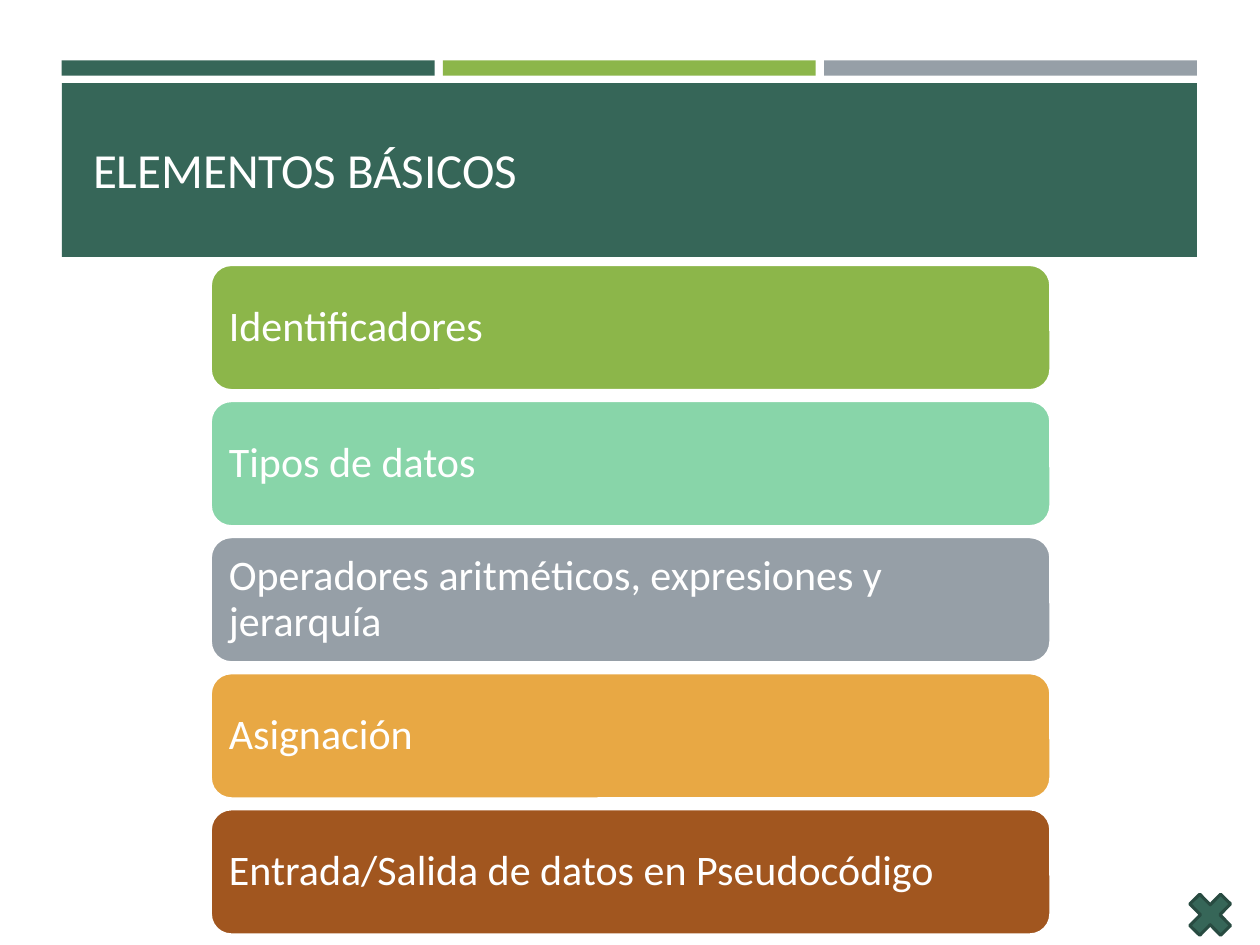
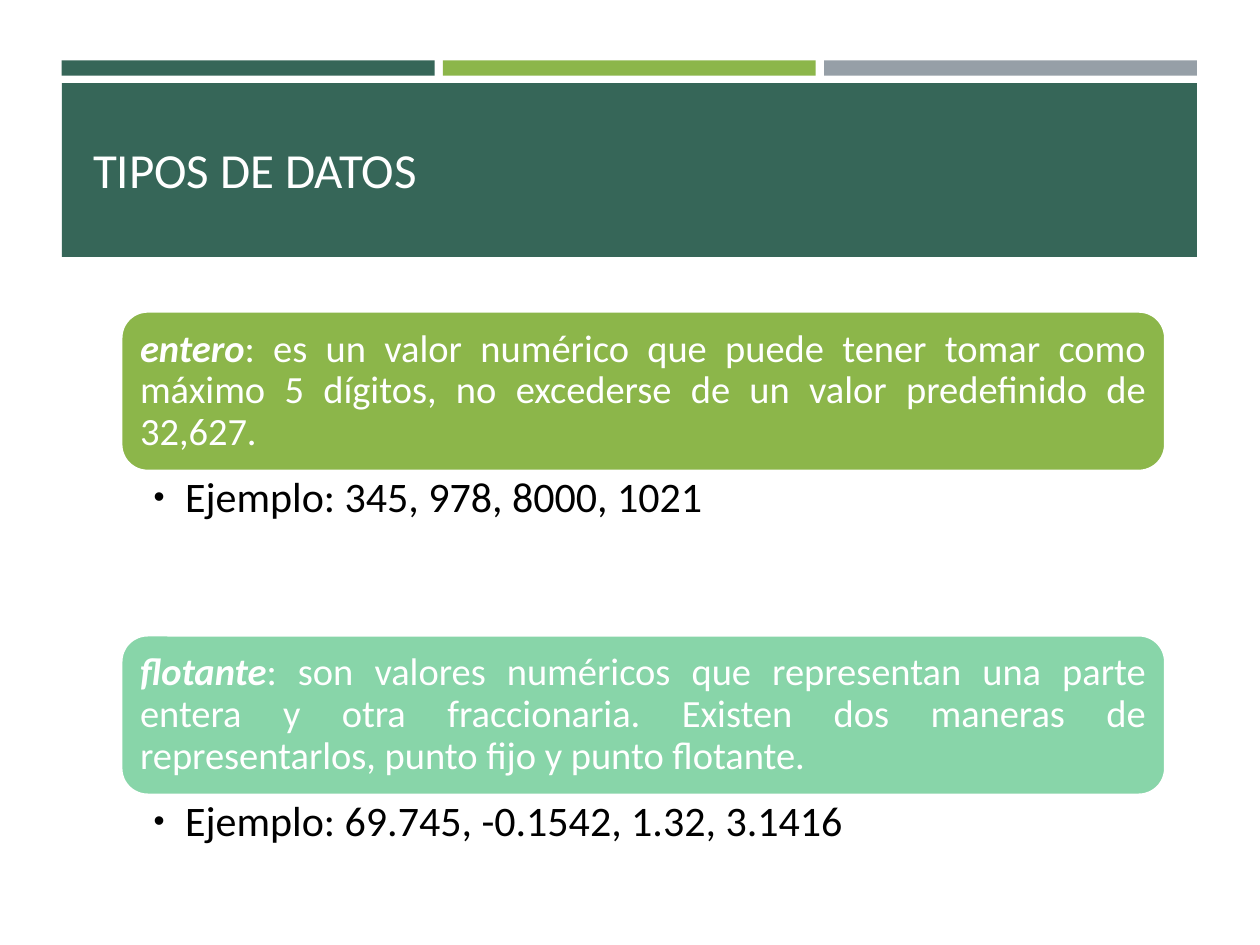
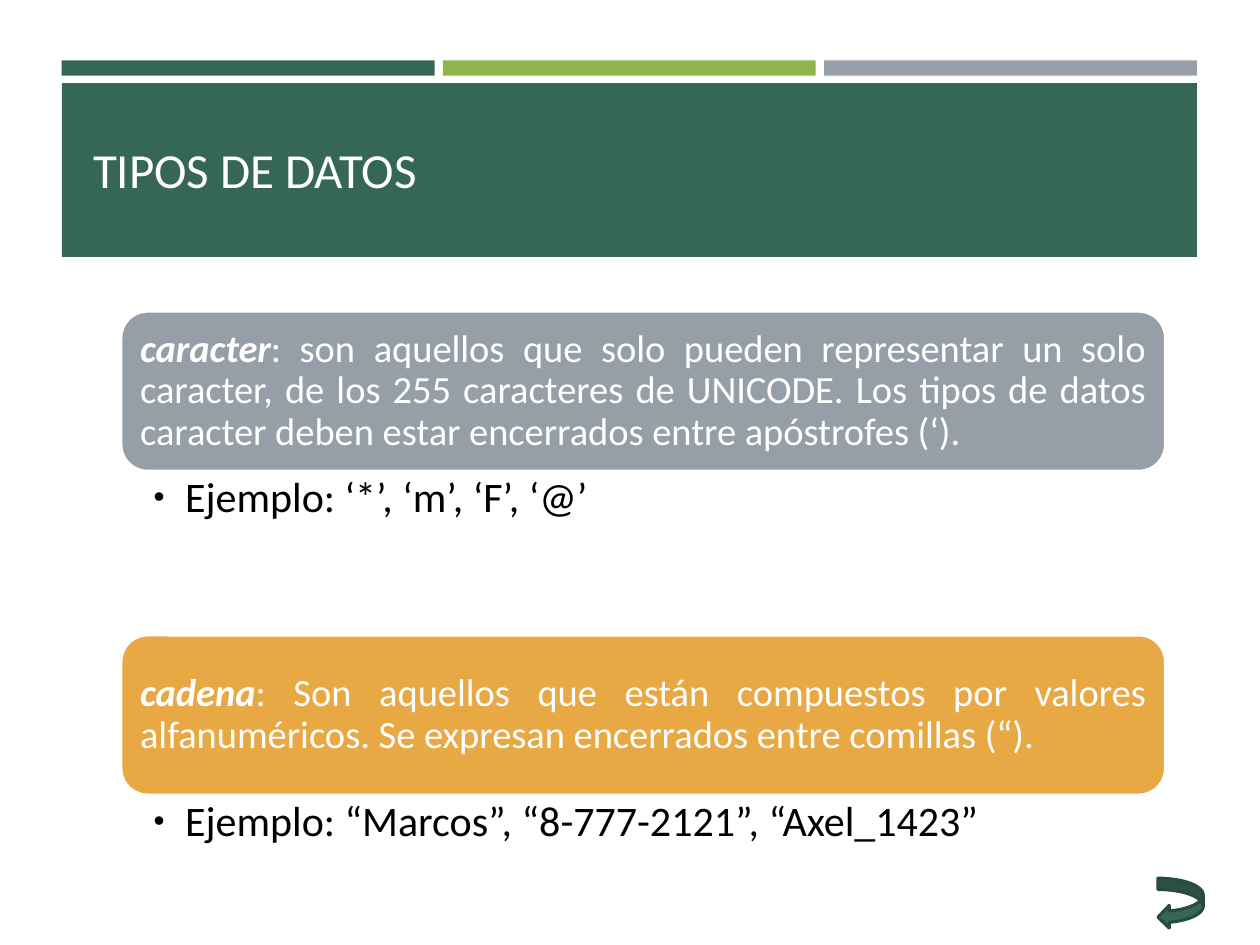
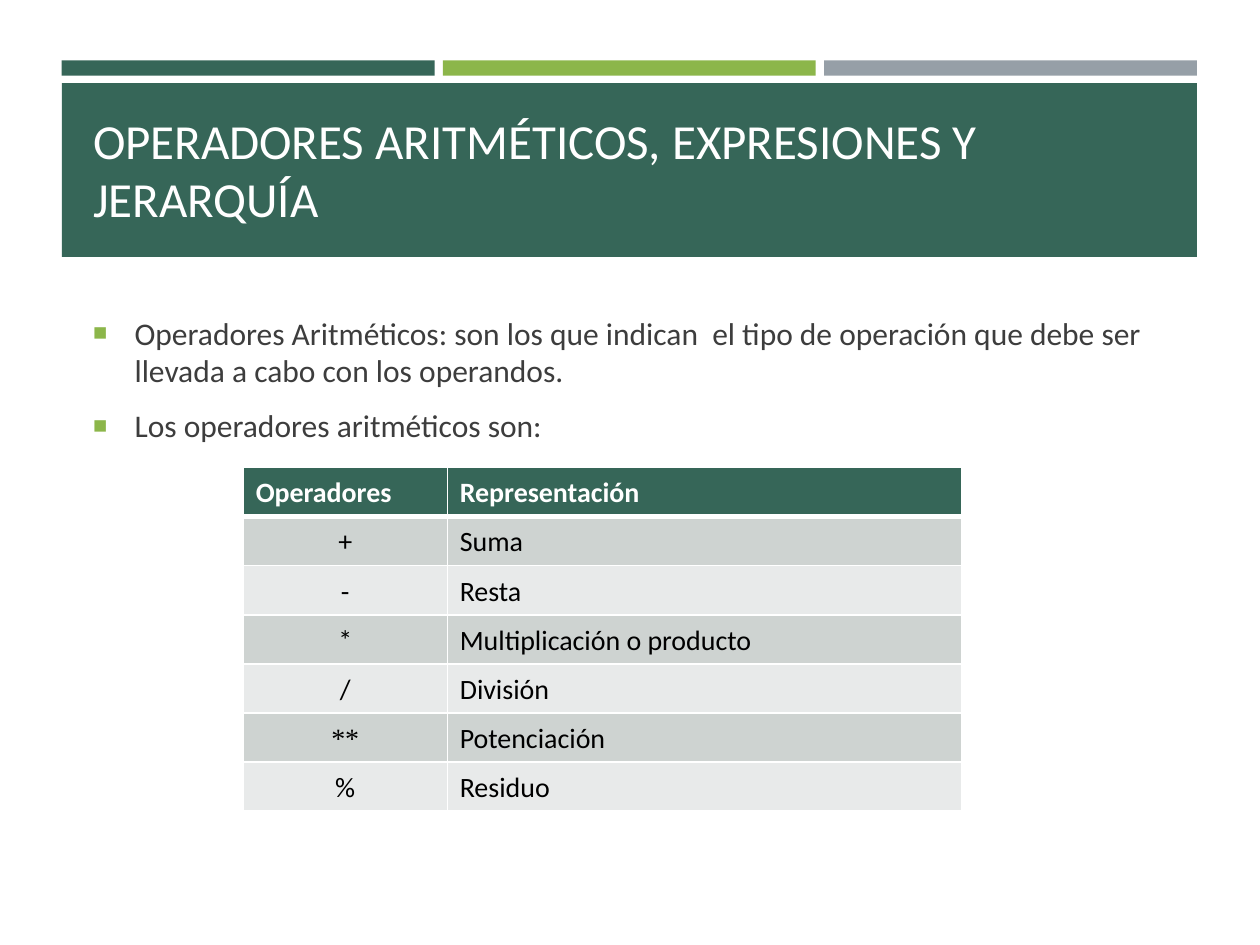
from dataclasses import dataclass
from typing import Any

from lxml import etree
from pptx import Presentation
from pptx import util as u
from pptx.dml.color import RGBColor
from pptx.enum import shapes, text
from pptx.oxml import ns

HUES: dict[str, str] = {
    "pine": "366658", "leaf": "8CB64A", "mint": "88D5A9", "gray": "969FA7",
    "gold": "E8A844", "rust": "A1561F", "edge": "284B41", "white": "FFFFFF",
    "black": "000000", "ink": "3D3D3D", "dark": "CED3D1", "pale": "E8EAEA",
}
FONT = "Calibri"
KIND = shapes.MSO_SHAPE
ALIGN = text.PP_ALIGN
MID = text.MSO_ANCHOR.MIDDLE
TOP = text.MSO_ANCHOR.TOP


@dataclass
class Box:
    x: float
    y: float
    w: float
    h: float

    def emu(self) -> list[int]:
        return [u.Inches(v) for v in (self.x, self.y, self.w, self.h)]


@dataclass
class Style:
    size: float
    hue: str = "white"
    bold: bool = False
    align: Any = ALIGN.LEFT
    lines: float = 1.0
    face: str = FONT


@dataclass
class Bullet:
    mark: str
    indent: float
    hue: str


@dataclass
class Term:
    name: str
    note: str
    case: str
    hue: str


def color(key: str) -> RGBColor:
    return RGBColor.from_string(HUES[key])


def assign(item: Any, vals: dict[str, Any]) -> None:
    for key, val in vals.items():
        setattr(item, key, val)


def child(node: Any, tag: str, **attrs: Any) -> Any:
    vals = {k: str(v) for k, v in attrs.items()}
    return etree.SubElement(node, ns.qn(tag), vals)


# Text helpers
def setup(frame: Any, pads: tuple, anchor: Any) -> None:
    sides = ("margin_left", "margin_top", "margin_right", "margin_bottom")
    assign(frame, {"word_wrap": True, "vertical_anchor": anchor})
    assign(frame, {k: u.Inches(v) for k, v in zip(sides, pads)})


def write(para: Any, words: str, style: Style, lead: str = "") -> None:
    assign(para, {"alignment": style.align, "line_spacing": style.lines})
    for part, strong in ((lead, True), (words, False)):
        if part:
            run = para.add_run()
            run.text = part
            assign(run.font, {"name": style.face, "size": u.Pt(style.size),
                              "bold": strong or style.bold, "italic": strong})
            run.font.color.rgb = color(style.hue)


def mark(para: Any, dot: Bullet) -> None:
    props = para._p.get_or_add_pPr()
    gap = u.Inches(dot.indent)
    props.set("marL", str(gap))
    props.set("indent", str(-gap))
    child(child(props, "a:buClr"), "a:srgbClr", val=HUES[dot.hue])
    child(props, "a:buSzPct", val=75000)
    child(props, "a:buFont", typeface="Arial")
    child(props, "a:buChar", char=dot.mark)


def label(slide: Any, box: Box, pads: tuple, anchor: Any = TOP) -> Any:
    frame = slide.shapes.add_textbox(*box.emu()).text_frame
    setup(frame, pads, anchor)
    return frame


# Shape helpers
def shape(slide: Any, kind: Any, box: Box, fill: str, line: str = "") -> Any:
    form = slide.shapes.add_shape(kind, *box.emu())
    form.shadow.inherit = False
    form.fill.solid()
    form.fill.fore_color.rgb = color(fill)
    if line:
        form.line.color.rgb = color(line)
        form.line.width = u.Pt(1.75)
    else:
        form.line.fill.background()
    return form


def card(slide: Any, box: Box, fill: str, pad: float, words: str,
         style: Style, lead: str = "") -> None:
    frame = shape(slide, KIND.ROUNDED_RECTANGLE, box, fill, "white").text_frame
    setup(frame, (pad,) * 4, MID)
    write(frame.paragraphs[0], words, style, lead)


# Shared page: three strips, title band, title
PADS = (0.1, 0.05, 0.1, 0.05)


def page(deck: Any, title: str) -> Any:
    slide = deck.slides.add_slide(deck.slide_layouts[6])
    for i, hue in enumerate(("pine", "leaf", "gray")):
        shape(slide, KIND.RECTANGLE, Box(0.49 + i * 3.025, 0.48, 2.96, 0.12), hue)
    shape(slide, KIND.RECTANGLE, Box(0.49, 0.66, 9.01, 1.38), "pine")
    frame = label(slide, Box(0.64, 0.75, 8.74, 1.18), PADS, MID)
    write(frame.paragraphs[0], title, Style(28))
    return slide


# Definition cards, each with an example below
def terms(slide: Any, items: list[Term]) -> None:
    for i, item in enumerate(items):
        top = 2.47 + i * 2.57
        card(slide, Box(0.96, top, 8.29, 1.27), item.hue, 0.09, item.note,
             Style(22, align=ALIGN.JUSTIFY, lines=0.9), item.name)
        frame = label(slide, Box(0.96, top + 1.27, 8.29, 0.56),
                      (0.26, 0.04, 0.24, 0.04))
        para = frame.paragraphs[0]
        write(para, "Ejemplo: " + item.case, Style(24, "black", lines=0.9))
        mark(para, Bullet("•", 0.25, "black"))


# Table cell with white borders
def fill_cell(cell: Any, words: str, fill: str, style: Style, head: bool) -> None:
    props = cell._tc.get_or_add_tcPr()
    for side in "LRTB":
        thick = 3 if head and side == "B" else 1
        edge = child(props, "a:ln" + side, w=u.Pt(thick))
        child(child(edge, "a:solidFill"), "a:srgbClr", val=HUES["white"])
    cell.fill.solid()
    cell.fill.fore_color.rgb = color(fill)
    cell.vertical_anchor = MID
    write(cell.text_frame.paragraphs[0], words, style)


def grid(slide: Any, box: Box, cols: list[float], rows: list[tuple]) -> None:
    table = slide.shapes.add_table(len(rows), len(cols), *box.emu()).table
    for col, wide in zip(table.columns, cols):
        col.width = u.Inches(wide)
    for r, row in enumerate(rows):
        table.rows[r].height = u.Inches(box.h / len(rows))
        head = r == 0
        fill = "pine" if head else ("pale", "dark")[r % 2]
        for c, words in enumerate(row):
            style = Style(16, "white" if head else "black", head, lines=1.07)
            if c == 0 and not head:
                style.align = ALIGN.CENTER
            if words == "**":
                style.face = "Times New Roman"
            fill_cell(table.cell(r, c), words, fill, style, head)


deck = Presentation()
assign(deck, {"slide_width": u.Inches(10), "slide_height": u.Inches(7.5)})

# Slide 1: list of topics
slide = page(deck, "ELEMENTOS BÁSICOS")
topics = [
    ("Identificadores", "leaf"),
    ("Tipos de datos", "mint"),
    ("Operadores aritméticos, expresiones y jerarquía", "gray"),
    ("Asignación", "gold"),
    ("Entrada/Salida de datos en Pseudocódigo", "rust"),
]
for i, (words, hue) in enumerate(topics):
    card(slide, Box(1.67, 2.1 + i * 1.08, 6.67, 1), hue, 0.1, words,
         Style(24, lines=0.9))
shape(slide, KIND.MATH_MULTIPLY, Box(9.37, 7.02, 0.47, 0.48), "pine", "edge")

# Slide 2: number types
slide = page(deck, "TIPOS DE DATOS")
terms(slide, [
    Term("entero", ": es un valor numérico que puede tener tomar como máximo "
         "5 dígitos, no excederse de un valor predefinido de 32,627.",
         "345, 978, 8000, 1021", "leaf"),
    Term("flotante", ": son valores numéricos que representan una parte entera "
         "y otra fraccionaria. Existen dos maneras de representarlos, "
         "punto fijo y punto flotante.",
         "69.745, -0.1542, 1.32, 3.1416", "mint"),
])

# Slide 3: text types
slide = page(deck, "TIPOS DE DATOS")
terms(slide, [
    Term("caracter", ": son aquellos que solo pueden representar un solo "
         "caracter, de los 255 caracteres de UNICODE. Los tipos de datos "
         "caracter deben estar encerrados entre apóstrofes (‘).",
         "‘*’, ‘m’, ‘F’, ‘@’", "gray"),
    Term("cadena", ": Son aquellos que están compuestos por valores "
         "alfanuméricos. Se expresan encerrados entre comillas (“).",
         "“Marcos”, “8-777-2121”, “Axel_1423”", "gold"),
])
shape(slide, KIND.CURVED_LEFT_ARROW, Box(9.19, 6.97, 0.36, 0.4), "pine", "edge")

# Slide 4: operators
slide = page(deck, "OPERADORES ARITMÉTICOS, EXPRESIONES Y JERARQUÍA")
frame = label(slide, Box(0.64, 2.44, 8.74, 3.97), PADS)
points = [
    "Operadores Aritméticos: son los que indican  el tipo de operación "
    "que debe ser llevada a cabo con los operandos.",
    "Los operadores aritméticos son:",
]
for i, words in enumerate(points):
    para = frame.add_paragraph() if i else frame.paragraphs[0]
    write(para, words, Style(18, "ink"))
    assign(para, {"space_before": u.Pt(3.6), "space_after": u.Pt(6)})
    mark(para, Bullet("■", 0.33, "leaf"))
grid(slide, Box(1.93, 3.71, 5.7, 2.73), [1.62, 4.08], [
    ("Operadores", "Representación"),
    ("+", "Suma"),
    ("-", "Resta"),
    ("*", "Multiplicación o producto"),
    ("/", "División"),
    ("**", "Potenciación"),
    ("%", "Residuo"),
])

deck.save("out.pptx")
